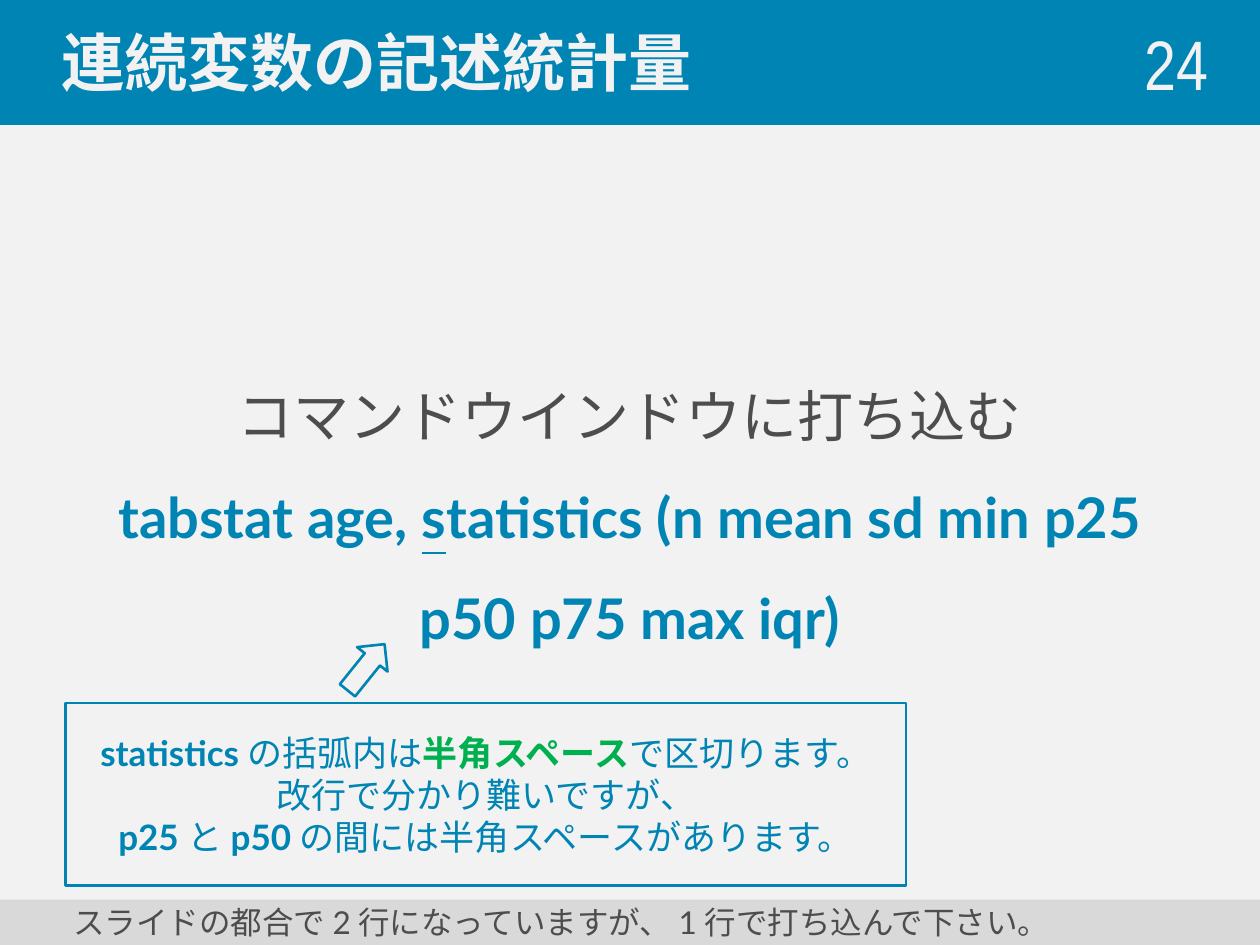
from dataclasses import dataclass

from pptx import Presentation
from pptx.dml.color import RGBColor as RGB
from pptx.enum.shapes import MSO_SHAPE as SHAPE
from pptx.enum.text import MSO_ANCHOR as ANCHOR, MSO_AUTO_SIZE as AUTO, PP_ALIGN as ALIGN
from pptx.util import Inches, Pt


@dataclass(frozen=True)
class Theme:
    paper: RGB = RGB(0xF2, 0xF2, 0xF2)
    blue: RGB = RGB(0x00, 0x84, 0xB4)
    ink: RGB = RGB(0x4D, 0x4D, 0x4D)
    band: RGB = RGB(0xD9, 0xD9, 0xD9)
    green: RGB = RGB(0x00, 0xB0, 0x50)
    title_font: str = "Roboto"
    body_font: str = "Lato"
    number_font: str = "Arial Narrow"
    title: int = 36
    number: int = 40
    body: int = 32
    note: int = 20
    footer: int = 18
    line: float = 1.5


class SlideBuilder:
    """Draws styled elements on the current slide."""

    def __init__(self, prs, theme):
        self.t = theme
        self.s = prs.slides.add_slide(prs.slide_layouts[5])
        fill = self.s.background.fill
        fill.solid()
        fill.fore_color.rgb = theme.paper

    def paint(self, sp, fill=None, line=None):
        if fill is None:
            sp.fill.background()
        else:
            sp.fill.solid()
            sp.fill.fore_color.rgb = fill
        if line is None:
            sp.line.fill.background()
        else:
            sp.line.color.rgb = line
            sp.line.width = Pt(self.t.line)

    def set_text(self, sp, paragraphs, size, color, font=None, align=ALIGN.LEFT,
                 spacing=None, indent=0):
        tf = sp.text_frame
        tf.word_wrap = True
        tf.auto_size = AUTO.NONE
        tf.vertical_anchor = ANCHOR.MIDDLE
        tf.margin_left = Inches(0.1 + indent)
        for i, runs in enumerate(paragraphs):
            p = tf.add_paragraph() if i else tf.paragraphs[0]
            p.alignment = align
            p.line_spacing = spacing
            p.font.size = Pt(size)
            p.font.name = font or self.t.body_font
            p.font.color.rgb = color
            for text, style in runs:
                if text == "\n":
                    p.add_line_break()
                    continue
                r = p.add_run()
                r.text = text
                r.font.bold = style.get("bold")
                r.font.underline = style.get("underline")
                if "color" in style:
                    r.font.color.rgb = style["color"]

    def title(self, text, box):
        sp = self.s.shapes.title
        sp.left, sp.top, sp.width, sp.height = map(Inches, box)
        self.paint(sp, self.t.blue, self.t.blue)
        self.set_text(sp, [[(text, {"bold": True})]], self.t.title, self.t.paper,
                      self.t.title_font, indent=0.39)

    def text(self, box, paragraphs, size, color, **layout):
        sp = self.s.shapes.add_textbox(*map(Inches, box))
        self.set_text(sp, paragraphs, size, color, **layout)

    def shape(self, kind, box, fill=None, line=None, rotation=0):
        sp = self.s.shapes.add_shape(kind, *map(Inches, box))
        sp.shadow.inherit = False
        sp.rotation = rotation
        self.paint(sp, fill, line)
        return sp

    def panel(self, box, paragraphs, size, color, fill=None, line=None, **layout):
        sp = self.shape(SHAPE.RECTANGLE, box, fill, line)
        self.set_text(sp, paragraphs, size, color, **layout)


def main():
    t = Theme()
    prs = Presentation()
    prs.slide_width, prs.slide_height = Inches(10), Inches(7.5)
    b = SlideBuilder(prs, t)
    plain, bold = {}, {"bold": True}
    command = {"bold": True, "color": t.blue}

    b.title("連続変数の記述統計量", (0, 0, 10, 0.98))
    b.text((0.5, 1.23, 9, 5.47), [
        [("コマンドウインドウに打ち込む", plain)],
        [("tabstat age, ", command),
         ("s", {**command, "underline": True}),
         ("tatistics (n mean sd min p25 p50 p75 max iqr)", command)],
    ], t.body, t.ink, align=ALIGN.CENTER, spacing=1.5)
    b.text((7.76, 0.19, 1.93, 0.61), [[("24", plain)]], t.number, t.paper,
           font=t.number_font, align=ALIGN.RIGHT)
    b.panel((0, 7.14, 10, 0.36),
            [[("スライドの都合で2行になっていますが、1行で打ち込んで下さい。", plain)]],
            t.footer, t.ink, fill=t.band, indent=0.48)
    b.shape(SHAPE.DOWN_ARROW, (2.75, 5.06, 0.31, 0.47), line=t.blue, rotation=218.8)
    b.panel((0.52, 5.58, 6.67, 1.45), [
        [("statistics", bold), ("の括弧内は", plain),
         ("半角スペース", {"bold": True, "color": t.green}), ("で区切ります。", plain)],
        [("改行で分かり難いですが、", plain), ("\n", plain),
         ("p25", bold), ("と", plain), ("p50", bold),
         ("の間には半角スペースがあります。", plain)],
    ], t.note, t.blue, line=t.blue, align=ALIGN.CENTER)

    prs.save("out.pptx")


if __name__ == "__main__":
    main()
